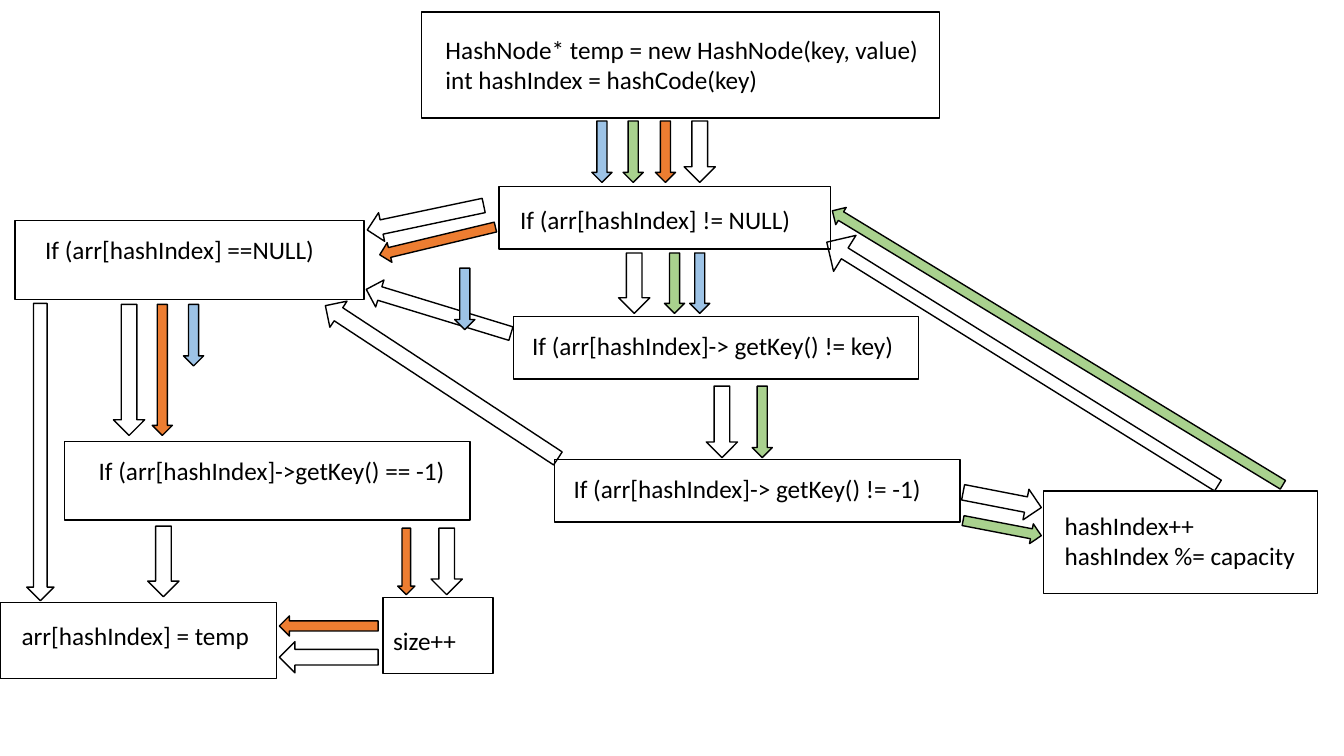
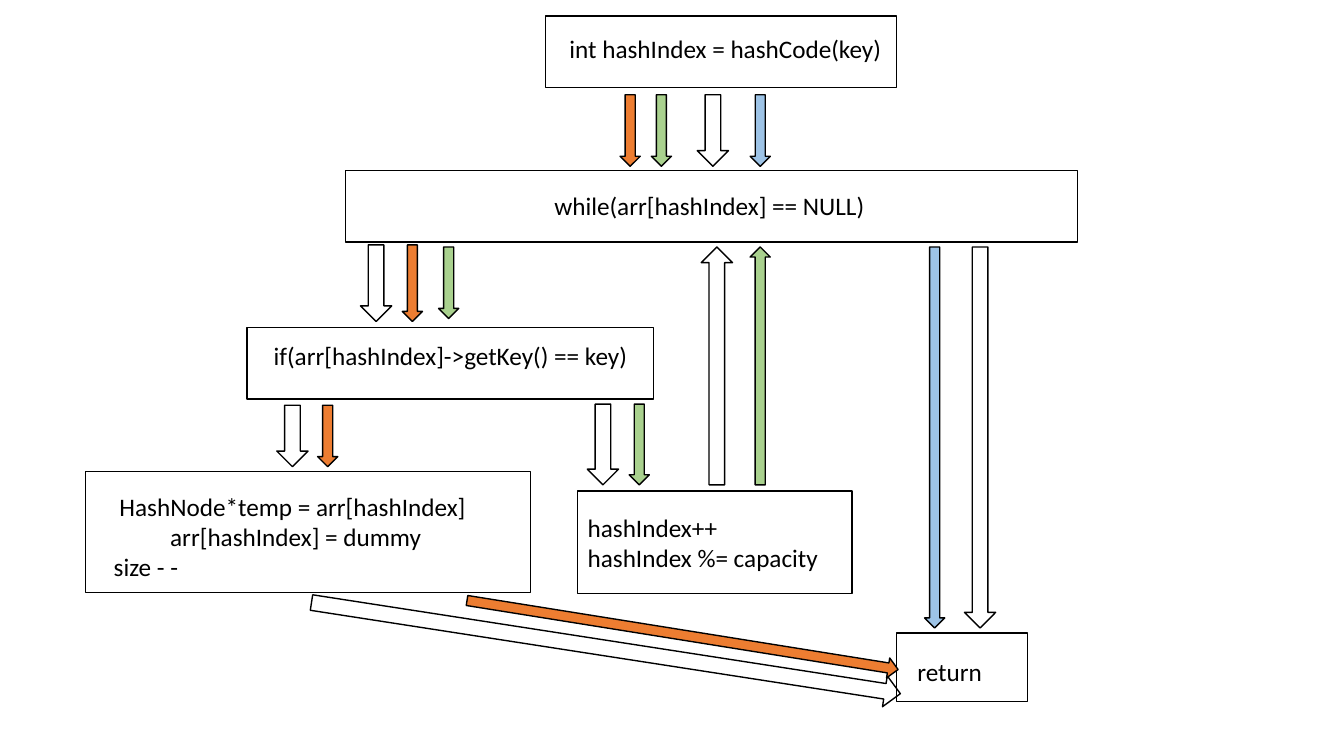
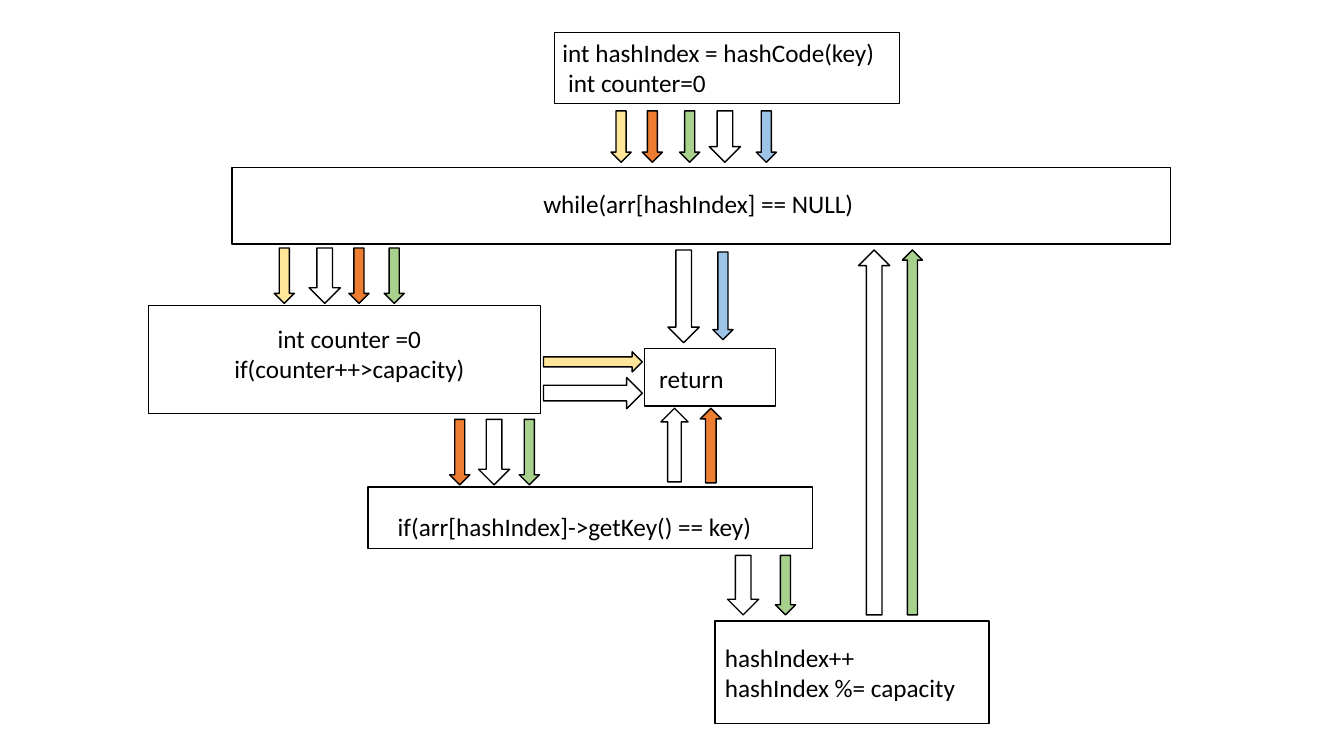
from pptx import Presentation
from pptx.dml.color import RGBColor
from pptx.enum.shapes import MSO_SHAPE as Geo
from pptx.enum.text import MSO_AUTO_SIZE as Fit, PP_ALIGN as Align
from pptx.util import Inches, Pt

HUES = {"orange": "ED7D31", "green": "A9D18E", "blue": "9DC3E6", "yellow": "FFE699"}
INK = "000000"
FONT = "Calibri"


def rgb(code):
    return RGBColor.from_string(code)


class Flow:
    def __init__(self):
        self.deck = Presentation()
        self.deck.slide_width = Inches(13.33)
        self.deck.slide_height = Inches(7.5)
        self.slide = None

    def page(self):
        self.slide = self.deck.slides.add_slide(self.deck.slide_layouts[6])

    def shape(self, kind, at, hue="white"):
        item = self.slide.shapes.add_shape(kind, *map(Inches, at))
        item.shadow.inherit = False
        if hue in HUES:
            item.fill.solid()
            item.fill.fore_color.rgb = rgb(HUES[hue])
        else:
            item.fill.background()
        item.line.color.rgb = rgb(INK)
        item.line.width = Pt(1)
        return item

    def node(self, at, text, place, align=None):
        self.shape(Geo.RECTANGLE, at)
        label = self.slide.shapes.add_textbox(*map(Inches, place))
        frame = label.text_frame
        frame.word_wrap = True
        frame.auto_size = Fit.SHAPE_TO_FIT_TEXT
        frame.text = text
        for line in frame.paragraphs:
            line.alignment = align
            for run in line.runs:
                run.font.size = Pt(18)
                run.font.name = FONT
                run.font.color.rgb = rgb(INK)
        return frame

    def step(self, left, top, dx=0, dy=0.16):
        self.node((left, top, 2.72, 1.02), "hashIndex++\nhashIndex %= capacity",
                  (left + dx, top + dy, 2.72, 0.71))

    def arrow(self, hue, x, y, size, turn=0, thick=None):
        thick = thick or (0.2 if hue in HUES else 0.31)
        item = self.shape(Geo.RIGHT_ARROW, (x - size / 2, y - thick / 2, size, thick), hue)
        item.rotation = turn
        return item

    def down(self, top, size, thick=None, turn=90, **spots):
        for hue, x in spots.items():
            self.arrow(hue, x, top + size / 2, size, turn, thick)

    def up(self, top, size, thick=None, **spots):
        self.down(top, size, thick, 270, **spots)


def insert(flow):
    flow.page()
    flow.node((4.18, 0.12, 5.14, 1.05),
              "HashNode* temp = new HashNode(key, value)\nint hashIndex = hashCode(key)",
              (4.32, 0.29, 5.01, 0.71))
    flow.node((4.95, 1.85, 3.29, 0.62), "If (arr[hashIndex] != NULL)", (5.06, 1.98, 3.18, 0.4))
    flow.node((0.15, 2.19, 3.46, 0.78), "If (arr[hashIndex] ==NULL)", (0.35, 2.28, 3.26, 0.46))
    flow.node((3.8, 5.93, 1.09, 0.75), "size++", (3.8, 6.15, 1.09, 0.43))
    flow.node((0, 5.98, 2.74, 0.75), " arr[hashIndex] = temp", (0.06, 6.11, 2.57, 0.43))
    flow.step(10.35, 4.87, 0.11, 0.14)
    for left, top, test in ((5.09, 3.14, "key"), (5.5, 4.56, "-1")):
        flow.node((left, top, 4.02, 0.62), f"If (arr[hashIndex]-> getKey() != {test})",
                  (left + 0.09, top + 0.09, 3.93, 0.4))
    flow.node((0.64, 4.38, 4.02, 0.78), "If (arr[hashIndex]->getKey() == -1)",
              (0.88, 4.47, 3.78, 0.71))

    flow.down(1.2, 0.61, white=6.94, orange=6.6, green=6.28, blue=5.97)
    flow.down(2.51, 0.6, white=6.29, green=6.69, blue=6.94)
    flow.down(3.83, 0.71, white=7.16, green=7.56)
    flow.down(3.02, 1.3, white=1.28, orange=1.61)
    flow.down(3.02, 0.61, blue=1.92)
    flow.down(3.01, 2.95, 0.27, white=0.4)
    flow.down(5.22, 0.7, white=1.62)
    flow.down(5.24, 0.66, white=4.43)
    flow.down(5.24, 0.66, 0.17, orange=4.03)
    back = flow.arrow("white", 10.14, 3.61, 4.57, 211.9, 0.42)
    back.adjustments[0] = 0.3
    flow.arrow("green", 10.49, 3.45, 5.23, 211.3)
    flow.arrow("white", 4.22, 2.16, 1.18, 168.1, 0.29)
    flow.arrow("orange", 4.34, 2.39, 1.18, 166.5)
    flow.arrow("white", 4.35, 3.09, 1.5, 197, 0.28)
    flow.down(2.66, 0.61, blue=4.61)
    flow.arrow("white", 4.38, 3.79, 2.76, 213.3)
    flow.arrow("white", 9.94, 4.96, 0.79, 11)
    flow.arrow("green", 9.94, 5.24, 0.79, 10.9)
    flow.arrow("white", 3.26, 6.52, 0.98, 180)
    flow.arrow("orange", 3.26, 6.21, 0.98, 180)


def erase(flow):
    flow.page()
    flow.node((5.41, 0.16, 3.48, 0.71), "int hashIndex = hashCode(key)", (5.55, 0.28, 3.34, 0.47))
    flow.node((3.43, 1.69, 7.26, 0.71), "while(arr[hashIndex] == NULL) ",
              (3.55, 1.84, 7.03, 0.41), Align.CENTER)
    flow.node((2.45, 3.25, 4.03, 0.71), " if(arr[hashIndex]->getKey() == key)",
              (2.56, 3.33, 3.93, 0.4))
    flow.node((8.89, 6.28, 1.3, 0.68), "return", (9, 6.46, 1.3, 0.4))
    flow.step(5.73, 4.87)
    frame = flow.node((0.85, 4.68, 4.41, 1.2),
                      " HashNode*temp = arr[hashIndex]\narr[hashIndex] = dummy\nsize - -",
                      (1.03, 4.82, 4, 0.92))
    frame.paragraphs[1]._p.get_or_add_pPr().set("marL", str(Inches(0.56)))

    flow.down(0.94, 0.71, white=7.07, green=6.56, orange=6.25, blue=7.54)
    flow.down(2.43, 0.76, white=3.73, orange=4.09)
    flow.down(2.45, 0.71, green=4.45)
    flow.down(2.45, 3.78, white=9.72, blue=9.27)
    flow.down(4.02, 0.61, white=2.9, orange=3.25)
    flow.down(4.01, 0.8, white=5.98, green=6.34)
    flow.up(2.45, 2.36, white=7.11, green=7.54)
    flow.arrow("white", 6.01, 6.43, 5.91, 8.8)
    flow.arrow("orange", 6.77, 6.3, 4.33, 9.1)


def find(flow):
    flow.page()
    flow.node((5.5, 0.32, 3.42, 0.71), "int hashIndex = hashCode(key)\n int counter=0",
              (5.48, 0.32, 3.42, 0.71))
    flow.node((2.3, 1.66, 9.31, 0.76), "while(arr[hashIndex] == NULL) ",
              (2.45, 1.82, 9.01, 0.43), Align.CENTER)
    flow.node((1.47, 3.03, 3.89, 1.07), "int counter =0\nif(counter++>capacity)",
              (1.57, 3.16, 3.79, 0.71), Align.CENTER)
    flow.node((3.65, 4.83, 4.41, 0.61), " if(arr[hashIndex]->getKey() == key)",
              (3.79, 5.02, 4, 0.21))
    flow.node((6.39, 3.46, 1.3, 0.57), "return", (6.44, 3.56, 1.3, 0.4))
    flow.step(7.09, 6.16)

    flow.down(1.1, 0.51, white=7.19, orange=6.47, blue=7.6, green=6.84, yellow=6.16)
    flow.down(2.46, 0.55, white=3.22, yellow=2.82, orange=3.56, green=3.91)
    flow.down(2.48, 0.92, white=6.78)
    flow.down(2.5, 0.87, blue=7.17)
    flow.down(4.16, 0.65, white=4.9, orange=4.56, green=5.25)
    flow.down(5.51, 0.59, white=7.37, green=7.79)
    flow.up(2.48, 3.62, white=8.67, green=9.05)
    flow.up(4.05, 0.73, 0.27, white=6.69)
    flow.up(4.05, 0.74, 0.21, orange=7.05)
    flow.arrow("white", 5.88, 3.9, 0.98)
    flow.arrow("yellow", 5.88, 3.59, 0.98)


def main():
    flow = Flow()
    insert(flow)
    erase(flow)
    find(flow)
    flow.deck.save("out.pptx")


if __name__ == "__main__":
    main()
